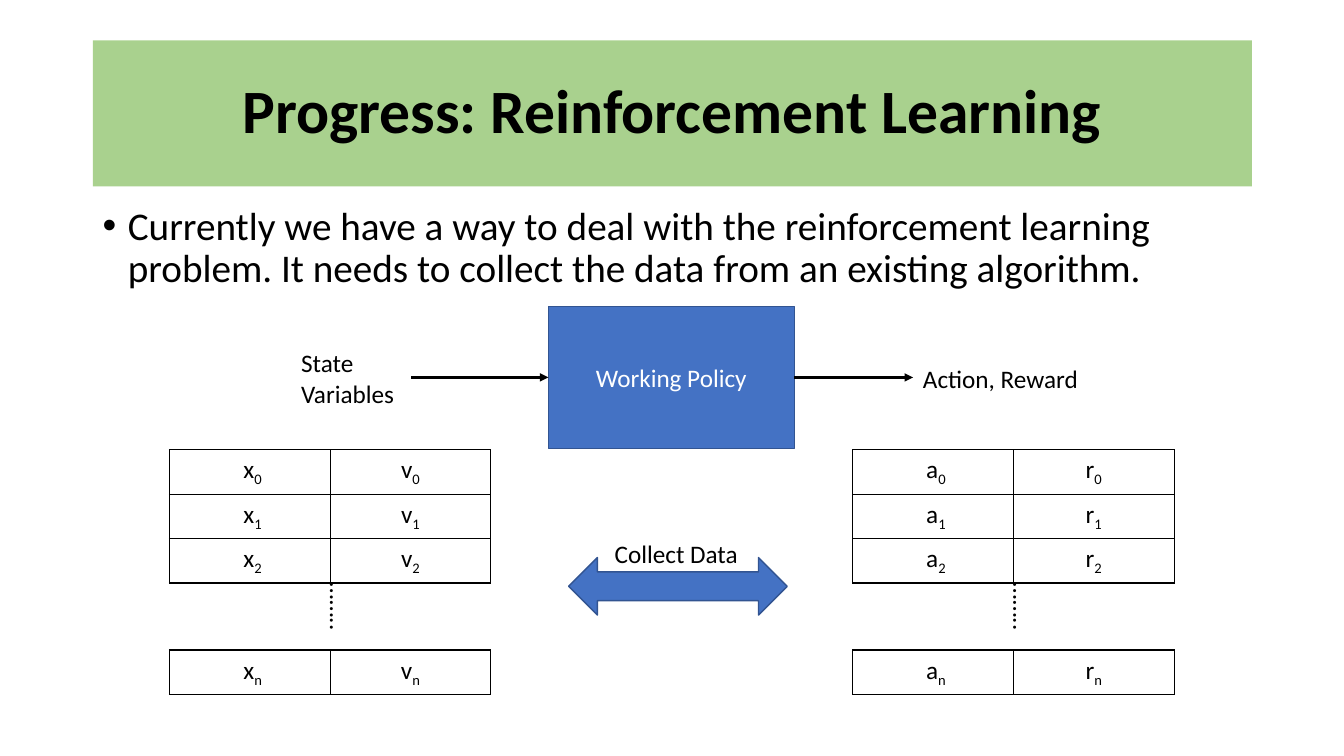
from dataclasses import dataclass

from lxml import etree
from pptx import Presentation
from pptx.dml.color import RGBColor
from pptx.enum import shapes, text
from pptx.oxml import ns
from pptx.util import Cm, Pt

HEADING = "Progress: Reinforcement Learning"
SUMMARY = ("Currently we have a way to deal with the reinforcement learning problem. "
           "It needs to collect the data from an existing algorithm.")
POLICY = "Working Policy"
DOTS = "…….."
FIRST_STEPS = ["0", "1", "2"]
LAST_STEP = ["n"]
DATA_SETS = [(4.27, (" x", "v")), (21.49, (" a", "r"))]
LABELS = [
    ("State Variables", (7.34, 8.64, 3.51, 1.8), True),
    ("Action, Reward", (23.01, 9.02, 5.03, 1.02), True),
    ("Collect Data", (15.24, 13.44, 3.66, 1.02), False),
]
POLICY_BOX = (13.82, 7.72, 6.2, 3.58)
COLLECT_BOX = (14.33, 14.05, 5.51, 1.45)
FLOW_START, FLOW_END = 10.36, 23.01
COLUMN, ROW = 4.05, 1.03
FIRST_TOP, LAST_TOP = 11.33, 16.38
DOTS_BOX = (1.8, 1.02)
DOTS_MIDDLE, DOTS_SHIFT = 15.34, 0.25


@dataclass(frozen=True)
class Theme:
    font: str = "Calibri"
    ink: str = "000000"
    light: str = "FFFFFF"
    banner: str = "A9D18E"
    accent: str = "4472C4"
    edge: str = "325491"
    heading: int = 44
    summary: int = 28
    label: int = 18


THEME = Theme()
CENTER = text.PP_ALIGN.CENTER
MIDDLE = text.MSO_ANCHOR.MIDDLE


def apply(target, values):
    for name, value in values.items():
        setattr(target, name, value)


def cm(box):
    return [Cm(length) for length in box]


def write(paragraph, words, size=THEME.label, color=THEME.ink, **font_values):
    run = paragraph.add_run()
    run.text = words
    apply(run.font, {"name": THEME.font, "size": Pt(size), **font_values})
    run.font.color.rgb = RGBColor.from_string(color)
    return run


def paint(shape, fill):
    shape.fill.solid()
    shape.fill.fore_color.rgb = RGBColor.from_string(fill)


def add_accent_shape(slide, kind, box):
    shape = slide.shapes.add_shape(kind, *cm(box))
    shape.shadow.inherit = False
    paint(shape, THEME.accent)
    shape.line.color.rgb = RGBColor.from_string(THEME.edge)
    shape.line.width = Pt(1)
    return shape


def add_label(slide, words, box, wrap=True):
    label = slide.shapes.add_textbox(*cm(box))
    apply(label.text_frame, {"word_wrap": wrap,
                             "auto_size": text.MSO_AUTO_SIZE.SHAPE_TO_FIT_TEXT})
    write(label.text_frame.paragraphs[0], words)
    return label


def add_flow(slide, start, end, y):
    flow = slide.shapes.add_connector(shapes.MSO_CONNECTOR.STRAIGHT,
                                      Cm(start), Cm(y), Cm(end), Cm(y))
    flow.line.color.rgb = RGBColor.from_string(THEME.ink)
    flow.line.width = Pt(2)
    properties = flow._element.spPr
    etree.SubElement(properties.find(ns.qn("a:ln")), ns.qn("a:tailEnd"), type="triangle")
    etree.SubElement(properties, ns.qn("a:effectLst"))
    return flow


def add_borders(cell):
    properties = cell._tc.get_or_add_tcPr()
    for place, side in enumerate(("lnL", "lnR", "lnT", "lnB")):
        border = etree.Element(ns.qn("a:" + side), w=str(Pt(1)))
        fill = etree.SubElement(border, ns.qn("a:solidFill"))
        etree.SubElement(fill, ns.qn("a:srgbClr"), val=THEME.ink)
        properties.insert(place, border)


def add_data(slide, left, top, letters, steps):
    size = (COLUMN * len(letters), ROW * len(steps))
    data = slide.shapes.add_table(len(steps), len(letters), *cm((left, top, *size))).table
    apply(data, {"first_row": False, "horz_banding": False})
    for row, step in enumerate(steps):
        for column, letter in enumerate(letters):
            cell = data.cell(row, column)
            cell.fill.background()
            add_borders(cell)
            entry = cell.text_frame.paragraphs[0]
            entry.alignment = CENTER
            write(entry, letter)
            index = write(entry, step)
            index.font._element.set("baseline", "-25000")


def add_heading(slide):
    heading = slide.shapes.title
    apply(heading, dict(zip(("left", "top", "width", "height"),
                            cm((2.34, 1.02, 29.21, 3.68)))))
    paint(heading, THEME.banner)
    heading.text_frame.vertical_anchor = MIDDLE
    line = heading.text_frame.paragraphs[0]
    apply(line, {"alignment": CENTER, "line_spacing": 0.9})
    write(line, HEADING, THEME.heading, bold=True)


def add_summary(slide):
    summary = slide.shapes.add_textbox(*cm((2.34, 5.08, 29.21, 12.09)))
    summary.text_frame.word_wrap = True
    line = summary.text_frame.paragraphs[0]
    apply(line, {"line_spacing": 0.9, "space_before": Pt(10)})
    properties = line._p.get_or_add_pPr()
    properties.set("marL", str(Pt(18)))
    properties.set("indent", str(-Pt(18)))
    etree.SubElement(properties, ns.qn("a:buFont"), typeface="Arial")
    etree.SubElement(properties, ns.qn("a:buChar"), char="•")
    write(line, SUMMARY, THEME.summary)


def add_policy(slide):
    policy = add_accent_shape(slide, shapes.MSO_SHAPE.RECTANGLE, POLICY_BOX)
    policy.text_frame.vertical_anchor = MIDDLE
    line = policy.text_frame.paragraphs[0]
    line.alignment = CENTER
    write(line, POLICY, color=THEME.light)
    left, top, width, height = POLICY_BOX
    y = top + height / 2
    add_flow(slide, FLOW_START, left, y).end_connect(policy, 1)
    add_flow(slide, left + width, FLOW_END, y).begin_connect(policy, 3)


def main():
    deck = Presentation()
    apply(deck, {"slide_width": Cm(33.87), "slide_height": Cm(19.05)})
    slide = deck.slides.add_slide(deck.slide_layouts[5])
    add_heading(slide)
    add_summary(slide)
    add_policy(slide)
    for left, letters in DATA_SETS:
        add_data(slide, left, FIRST_TOP, letters, FIRST_STEPS)
        add_data(slide, left, LAST_TOP, letters, LAST_STEP)
        width, height = DOTS_BOX
        dots_left = left + COLUMN + DOTS_SHIFT - width / 2
        dots = add_label(slide, DOTS, (dots_left, DOTS_MIDDLE - height / 2, width, height))
        dots.rotation = 90
    add_accent_shape(slide, shapes.MSO_SHAPE.LEFT_RIGHT_ARROW, COLLECT_BOX)
    for words, box, wrap in LABELS:
        add_label(slide, words, box, wrap)
    deck.save("out.pptx")


if __name__ == "__main__":
    main()
